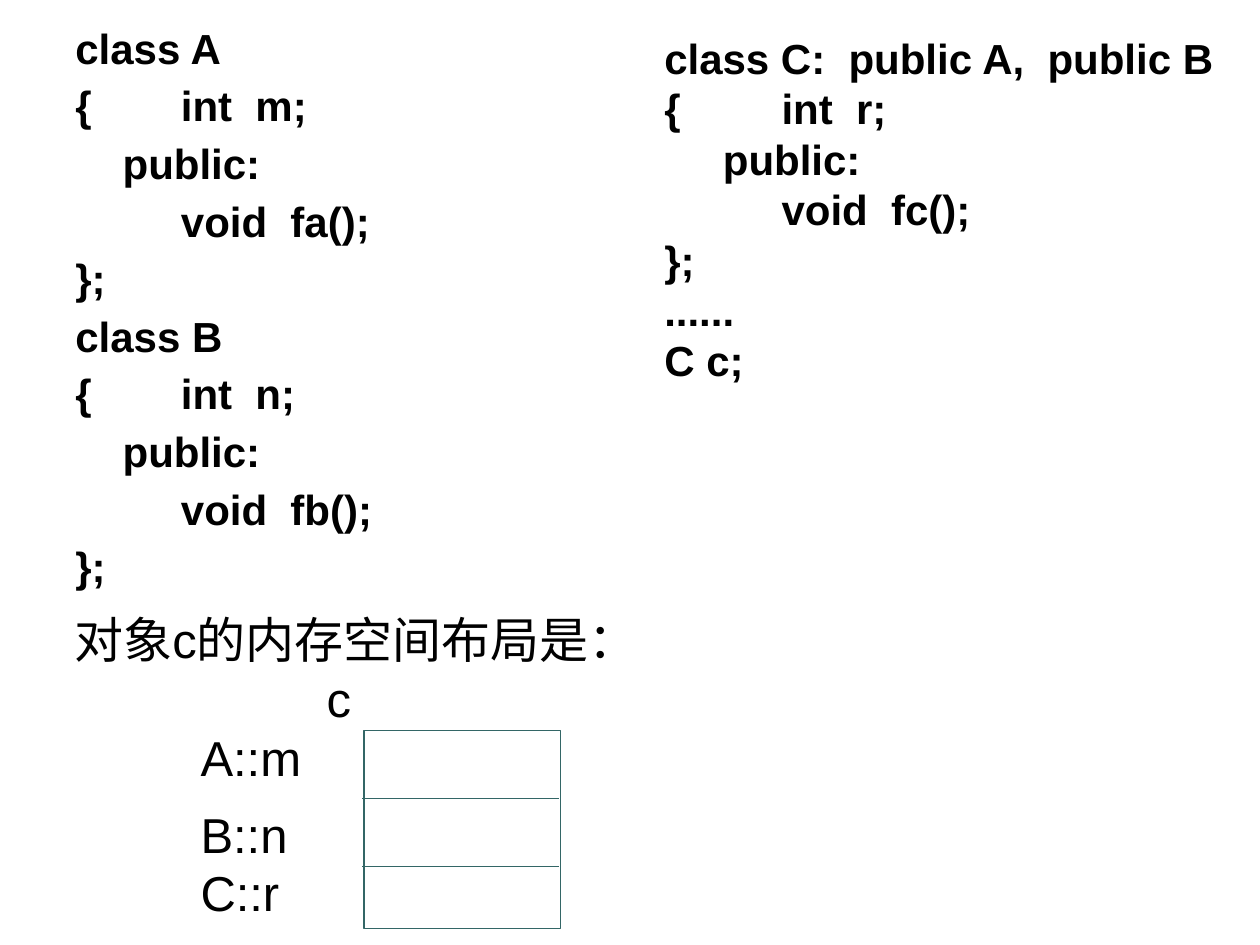
"""Builds a slide on the memory layout of a class with two base classes."""
from lxml.etree import SubElement
from pptx import Presentation
from pptx.dml.color import RGBColor
from pptx.enum.shapes import MSO_CONNECTOR, MSO_SHAPE
from pptx.enum.text import MSO_AUTO_SIZE
from pptx.oxml.ns import qn
from pptx.util import Pt

COLORS = {"text": "000000", "memory": "336666"}
FONT = "Arial"

BASE_CLASSES = [
    "class A",
    "{\t     int  m;",
    "\tpublic:",
    "\t     void  fa();",
    "};",
    "class B",
    "{\t     int  n;",
    "\tpublic:",
    "\t     void  fb();",
    "};",
]
DERIVED_CLASS = [
    "class C:  public A,  public B",
    "{\t\tint  r;",
    "\tpublic:",
    "\t\tvoid  fc();",
    "};",
    "......",
    "C c;",
]
LAYOUT_LABELS = ["对象c的内存空间布局是：", "\t\tc", "\tA::m", "\tB::n", "\tC::r"]

MEMORY = {"left": 208, "top": 417.5, "width": 112.5, "height": 113}
DIVIDER_LEFT = 207
CELL_PITCH = 38.75
DIVIDERS = 2


def add_text(slide, lines, left, top, width, height, size, bold=False,
             hanging=0, tab=0, spacing=None, before=0, line_spacings=None):
    box = slide.shapes.add_textbox(Pt(left), Pt(top), Pt(width), Pt(height))
    frame = box.text_frame
    frame.word_wrap = True
    frame.auto_size = MSO_AUTO_SIZE.NONE
    for index, line in enumerate(lines):
        paragraph = frame.paragraphs[0] if index == 0 else frame.add_paragraph()
        properties = paragraph._p.get_or_add_pPr()
        if hanging:
            properties.set("marL", str(Pt(hanging)))
            properties.set("indent", str(-Pt(hanging)))
        if tab:
            stops = SubElement(properties, qn("a:tabLst"))
            for step in range(1, 8):
                SubElement(stops, qn("a:tab"), pos=str(Pt(step * tab)), algn="l")
        paragraph.line_spacing = (line_spacings or {}).get(index, spacing)
        if index and before:
            paragraph.space_before = Pt(before)
        run = paragraph.add_run()
        run.text = line
        run.font.name = FONT
        run.font.size = Pt(size)
        run.font.bold = bold
        run.font.color.rgb = RGBColor.from_string(COLORS["text"])


def style_line(line):
    line.color.rgb = RGBColor.from_string(COLORS["memory"])
    line.width = Pt(0.75)


def add_memory(slide):
    memory = slide.shapes.add_shape(
        MSO_SHAPE.RECTANGLE, *(Pt(MEMORY[side]) for side in ("left", "top", "width", "height")))
    memory.shadow.inherit = False
    memory.fill.background()
    style_line(memory.line)
    for number in range(1, DIVIDERS + 1):
        y = Pt(MEMORY["top"] + number * CELL_PITCH)
        divider = slide.shapes.add_connector(
            MSO_CONNECTOR.STRAIGHT, Pt(DIVIDER_LEFT), y, Pt(DIVIDER_LEFT + MEMORY["width"]), y)
        SubElement(divider._element.spPr, qn("a:effectLst"))
        style_line(divider.line)


def main():
    presentation = Presentation()
    presentation.slide_width, presentation.slide_height = Pt(720), Pt(540)
    slide = presentation.slides.add_slide(presentation.slide_layouts[6])
    add_text(slide, BASE_CLASSES, 36, 12.5, 250, 321, size=24, bold=True,
             hanging=27, spacing=0.9, before=7)
    add_text(slide, DERIVED_CLASS, 372.5, 15, 328, 238, size=24, bold=True, tab=33.5)
    add_text(slide, LAYOUT_LABELS, 35.5, 345, 461, 186, size=28, tab=72,
             line_spacings={3: 1.3})
    add_memory(slide)
    presentation.save("out.pptx")


if __name__ == "__main__":
    main()
